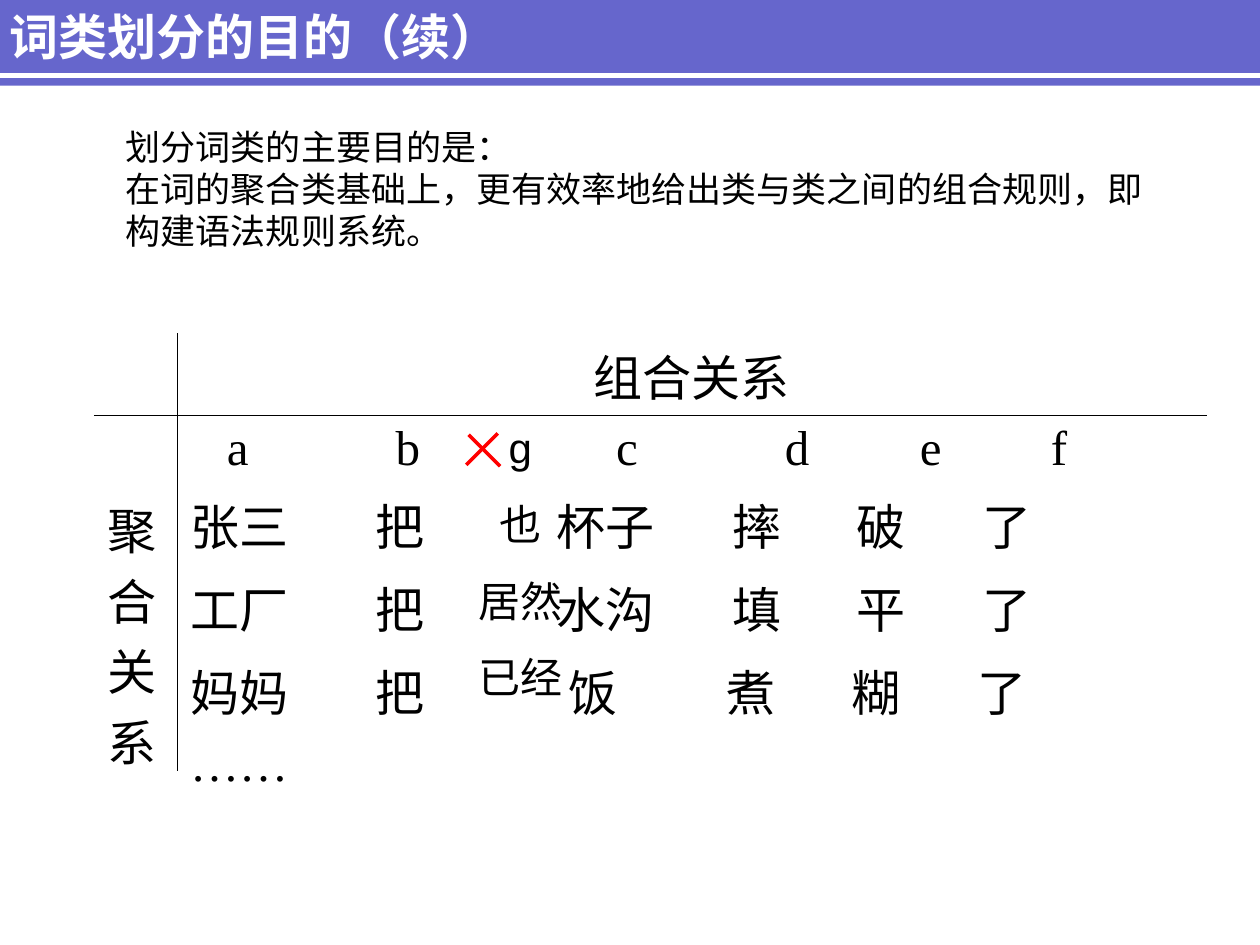
"""Build the slide on the purpose of dividing words into classes."""
import pptx
import pptx.dml.color
import pptx.enum.shapes
import pptx.enum.text
import pptx.oxml
import pptx.oxml.ns
import pptx.util
from lxml import etree

Inches = pptx.util.Inches
Pt = pptx.util.Pt
qn = pptx.oxml.ns.qn
Align = pptx.enum.text.PP_ALIGN
Anchor = pptx.enum.text.MSO_ANCHOR
Straight = pptx.enum.shapes.MSO_CONNECTOR.STRAIGHT
CJK = "Noto Sans CJK SC"


def paint(color, code):
    color.rgb = pptx.dml.color.RGBColor.from_string(code)


def write(frame, text, size=28, font="Times New Roman", code="000000",
          bold=False, align=Align.LEFT, before=0, pitch=None, stops=()):
    frame.word_wrap = True
    first = frame.paragraphs[0]
    fresh = not first.runs
    para = first if fresh else frame.add_paragraph()
    para.text = text
    para.alignment = align
    para.space_before = Pt(0 if fresh else before)
    if pitch:
        para.line_spacing = Pt(pitch)
    if stops:
        tabs = etree.SubElement(para._p.get_or_add_pPr(), qn("a:tabLst"))
        for stop in stops:
            etree.SubElement(tabs, qn("a:tab"), pos=str(Inches(stop)), algn="l")
    for run in para.runs:
        run.font.size = Pt(size)
        run.font.bold = bold
        run.font.name = font
        paint(run.font.color, code)
        etree.SubElement(run._r.get_or_add_rPr(), qn("a:ea"), typeface=CJK)


deck = pptx.Presentation()
deck.slide_width, deck.slide_height = Inches(10), Inches(7.5)
slide = deck.slides.add_slide(deck.slide_layouts[6])
shapes = slide.shapes

bar = shapes.add_shape(pptx.enum.shapes.MSO_SHAPE.RECTANGLE,
                       Inches(-0.04), Inches(-0.03), Inches(10.04), Inches(0.71))
bar.shadow.inherit = False
bar.fill.solid()
paint(bar.fill.fore_color, "6666CC")
bar.line.fill.background()

title = shapes.add_textbox(Inches(-0.02), Inches(-0.13), Inches(7.62), Inches(0.83))
title.text_frame.vertical_anchor = Anchor.MIDDLE
write(title.text_frame, "词类划分的目的（续）", font=CJK, code="FFFFFF", bold=True)

intro = shapes.add_textbox(Inches(0.9), Inches(0.95), Inches(8.35), Inches(1.1))
write(intro.text_frame,
      "划分词类的主要目的是：\n在词的聚合类基础上，更有效率地给出类与类之间的组合规则，即构建语法规则系统。",
      size=20, pitch=24)

table = shapes.add_table(2, 2, Inches(0.75), Inches(2.65),
                         Inches(8.82), Inches(3.47)).table
table.first_row = table.horz_banding = False
for col, width in zip(table.columns, (0.66, 8.16)):
    col.width = Inches(width)
for row, height in zip(table.rows, (0.65, 2.82)):
    row.height = Inches(height)

edges = {(0, 0): ("lnR", "lnB"), (0, 1): ("lnL", "lnB"),
         (1, 0): ("lnR", "lnT"), (1, 1): ("lnL", "lnT")}
for (row, col), sides in edges.items():
    cell = table.cell(row, col)
    props = cell._tc.get_or_add_tcPr()
    for side in sides:
        edge = etree.SubElement(props, qn("a:" + side), w=str(Pt(0.45)))
        fill = etree.SubElement(edge, qn("a:solidFill"))
        etree.SubElement(fill, qn("a:srgbClr"), val="000000")
    cell.fill.background()

write(table.cell(0, 1).text_frame, "组合关系", align=Align.CENTER)

side = table.cell(1, 0)
side.margin_top, side.margin_bottom = Inches(0.61), Inches(0)
write(side.text_frame, "聚合关系")

heads = (0.29, 1.63, 3.38, 4.72, 5.79, 6.83)
words = (1.47, 2.91, 4.3, 5.29, 6.29)
meal = (1.47, 3, 4.26, 5.25, 6.25)
body = table.cell(1, 1).text_frame
for text, stops in (("\ta\tb\tc\td\te\tf", heads),
                    ("张三\t把\t杯子\t摔\t破\t了", words),
                    ("工厂\t把\t水沟\t填\t平\t了", words),
                    ("妈妈\t把\t饭\t煮\t糊\t了", meal),
                    ("……", ())):
    write(body, text, before=7, stops=stops)

extra = shapes.add_textbox(Inches(3.66), Inches(3.3), Inches(0.94), Inches(2.33))
for text in ("g", "也", "居然", "已经"):
    write(extra.text_frame, text, size=24, font="Arial", align=Align.CENTER,
          before=15, pitch=28.8)

for ends, code, width in (((-0.04, 0.6, 10, 0.6), "FFFFFF", 3),
                          ((3.72, 3.45, 3.97, 3.7), "FF0000", 2),
                          ((3.95, 3.44, 3.7, 3.69), "FF0000", 2)):
    line = shapes.add_connector(Straight, *map(Inches, ends))
    paint(line.line.color, code)
    line.line.width = Pt(width)
    etree.SubElement(line._element.spPr, qn("a:effectLst"))

deck.save("out.pptx")
